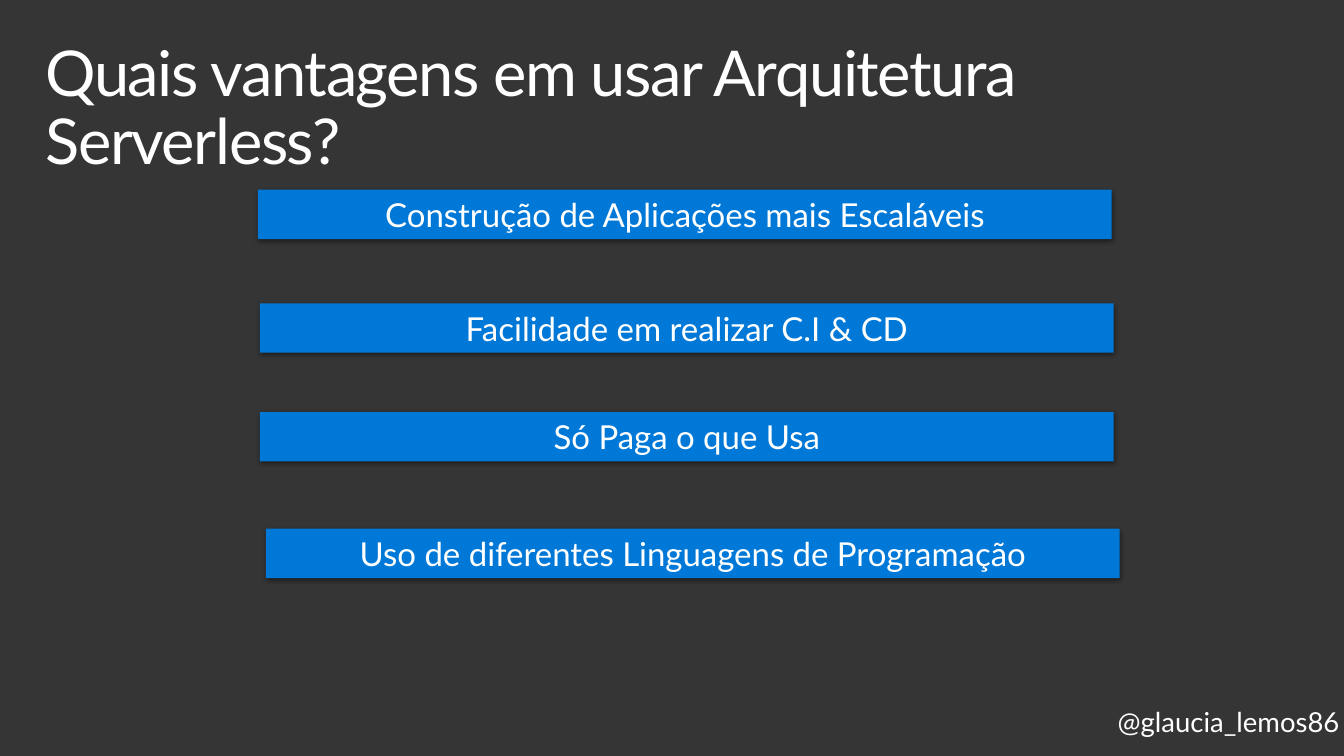
from lxml import etree
from pptx import Presentation
from pptx import util as u
from pptx.dml.color import RGBColor
from pptx.enum import shapes, text
from pptx.oxml import ns

CHARCOAL = RGBColor(0x35, 0x35, 0x35)
BLUE = RGBColor(0x00, 0x78, 0xD7)
WHITE = RGBColor(0xFF, 0xFF, 0xFF)
BLACK = RGBColor(0x00, 0x00, 0x00)


def write(holder, words, size, frame_format, paragraph_format):
    frame = holder.text_frame
    for name, value in frame_format.items():
        setattr(frame, name, value)
    paragraph = frame.paragraphs[0]
    for name, value in paragraph_format.items():
        setattr(paragraph, name, value)
    run = paragraph.add_run()
    run.text = words
    for name, value in {"name": "Lato", "size": u.Pt(size), "bold": False}.items():
        setattr(run.font, name, value)
    run.font.color.rgb = WHITE
    return run


def cast_shadow(bar):
    bar.shadow.inherit = False
    effects = bar._element.spPr.find(ns.qn("a:effectLst"))
    shadow = etree.SubElement(
        effects, ns.qn("a:outerShdw"), blurRad=str(u.Pt(3.5)), dist=str(u.Pt(1.1)),
        dir="5400000", algn="t", rotWithShape="0")
    colour = etree.SubElement(shadow, ns.qn("a:srgbClr"), val=str(BLACK))
    etree.SubElement(colour, ns.qn("a:alpha"), val="45000")


deck = Presentation()
deck.slide_width, deck.slide_height = u.Pt(979.2), u.Pt(550.8)
slide = deck.slides.add_slide(deck.slide_layouts[5])
slide.background.fill.solid()
slide.background.fill.fore_color.rgb = CHARCOAL

handle = slide.shapes.add_textbox(u.Pt(799.92), u.Pt(505.44), u.Pt(192.96), u.Pt(45.36))
write(handle, "@glaucia_lemos86", 20, {
    "word_wrap": True,
    "margin_left": u.Pt(14.4), "margin_right": u.Pt(14.4),
    "margin_top": u.Pt(11.5), "margin_bottom": u.Pt(11.5),
}, {"line_spacing": 0.9, "space_after": u.Pt(6)})

question = slide.shapes.title
for name, value in {"left": 21.6, "top": 23.04, "width": 936, "height": 72}.items():
    setattr(question, name, u.Pt(value))
question_run = write(question, "Quais vantagens em usar Arquitetura Serverless?", 46, {
    "word_wrap": True,
    "auto_size": text.MSO_AUTO_SIZE.NONE,
    "vertical_anchor": text.MSO_ANCHOR.TOP,
    "margin_left": u.Pt(11.5), "margin_right": u.Pt(11.5),
    "margin_top": u.Pt(7.2), "margin_bottom": u.Pt(7.2),
}, {"alignment": text.PP_ALIGN.LEFT, "line_spacing": 0.9})
question_run._r.get_or_add_rPr().set("spc", "-100")

advantages = [
    ("Construção de Aplicações mais Escaláveis", 187.92, 138.24),
    ("Facilidade em realizar C.I & CD", 189.36, 221.04),
    ("Só Paga o que Usa", 189.36, 300.24),
    ("Uso de diferentes Linguagens de Programação", 193.68, 385.2),
]
for advantage, left, top in advantages:
    bar = slide.shapes.add_shape(
        shapes.MSO_SHAPE.RECTANGLE, u.Pt(left), u.Pt(top), u.Pt(622.08), u.Pt(36))
    bar.fill.solid()
    bar.fill.fore_color.rgb = BLUE
    bar.line.fill.background()
    cast_shadow(bar)
    write(bar, advantage, 24, {
        "word_wrap": True,
        "vertical_anchor": text.MSO_ANCHOR.TOP,
    }, {"alignment": text.PP_ALIGN.CENTER})

deck.save("out.pptx")
